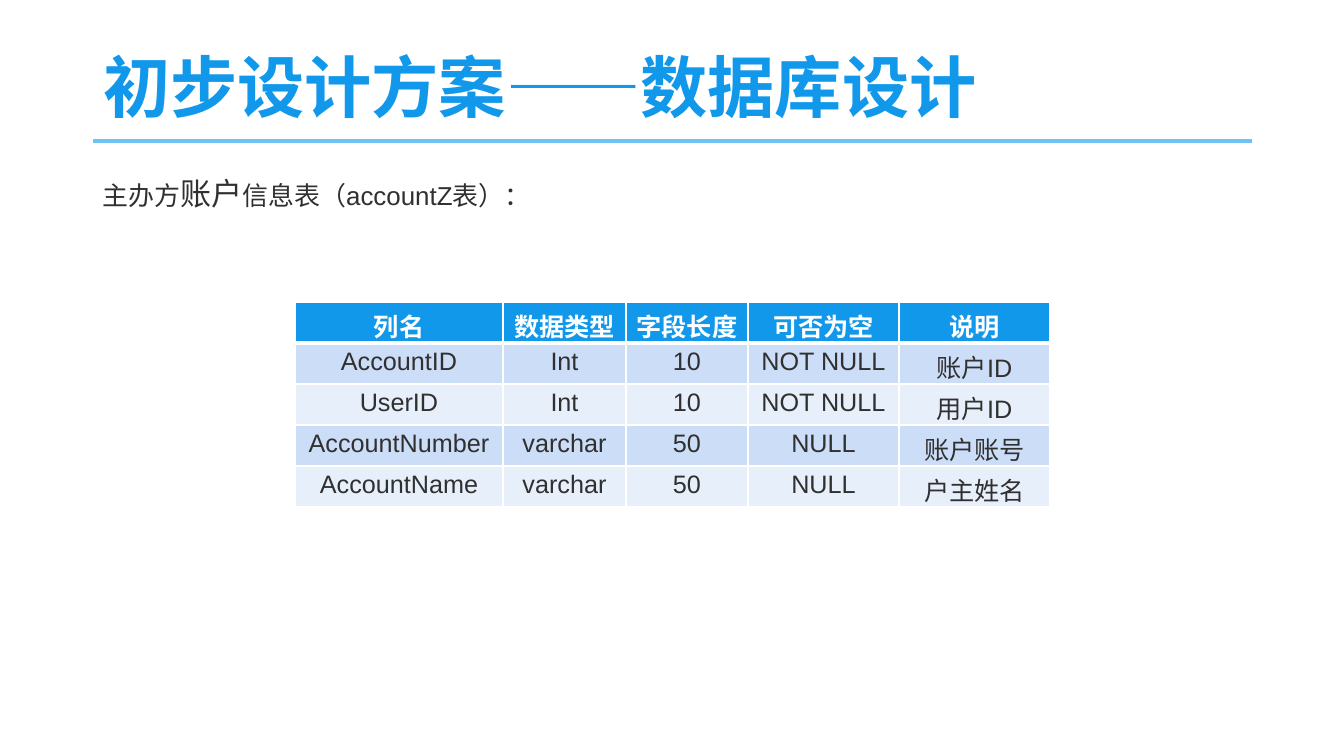
from typing import NamedTuple

from lxml import etree
from pptx import Presentation
from pptx import util as u
from pptx.dml.color import RGBColor
from pptx.enum import lang, shapes, text
from pptx.oxml import ns

EMU_PER_PX = 914400 / 100.8
FONT = "Arial"
BLUE = RGBColor(0x11, 0x98, 0xEB)
SKY = RGBColor(0x6F, 0xC2, 0xF5)
INK = RGBColor(0x30, 0x30, 0x30)
WHITE = RGBColor(0xFF, 0xFF, 0xFF)
BAND_DARK = RGBColor(0xCC, 0xDD, 0xF7)
BAND_LIGHT = RGBColor(0xE7, 0xEF, 0xFB)


class Span(NamedTuple):
    words: str
    size: float
    color: RGBColor
    bold: bool = False


class Field(NamedTuple):
    name: str
    kind: str
    length: str
    nullable: str
    note: str


HEADER = Field("列名", "数据类型", "字段长度", "可否为空", "说明")
FIELDS = [
    Field("AccountID", "Int", "10", "NOT NULL", "账户ID"),
    Field("UserID", "Int", "10", "NOT NULL", "用户ID"),
    Field("AccountNumber", "varchar", "50", "NULL", "账户账号"),
    Field("AccountName", "varchar", "50", "NULL", "户主姓名"),
]
COLUMN_WIDTHS = [208, 123, 122, 151, 151]
ROW_HEIGHT = 41
CAPTION = [
    Span("主办方", 18.5, INK),
    Span("账户", 22.2, INK),
    Span("信息表（accountZ表）：", 18.5, INK),
]


def px(length: int) -> u.Emu:
    return u.Emu(round(length * EMU_PER_PX))


def write(para, spans: list[Span], align=text.PP_ALIGN.LEFT, spacing: float = 1.0) -> None:
    para.alignment = align
    para.line_spacing = spacing
    for span in spans:
        run = para.add_run()
        run.text = span.words
        run.font.name = FONT
        run.font.size = u.Pt(span.size)
        run.font.bold = span.bold
        run.font.color.rgb = span.color
        run.font.language_id = lang.MSO_LANGUAGE_ID.SIMPLIFIED_CHINESE


def add_title(page) -> None:
    title = page.shapes.title
    title.left, title.top, title.width, title.height = px(93), px(40), px(1159), px(101)
    frame = title.text_frame
    frame.auto_size = text.MSO_AUTO_SIZE.NONE
    frame.vertical_anchor = text.MSO_ANCHOR.MIDDLE
    write(frame.paragraphs[0], [Span("初步设计方案——数据库设计", 48, BLUE, True)], spacing=0.9)


def add_rule(page) -> None:
    rule = page.shapes.add_connector(
        shapes.MSO_CONNECTOR.STRAIGHT, px(93), px(141), px(1252), px(141))
    rule.line.color.rgb = SKY
    rule.line.width = u.Pt(3.5)
    etree.SubElement(rule._element.spPr, ns.qn("a:effectLst"))


def add_caption(page) -> None:
    box = page.shapes.add_textbox(px(93), px(162), px(926), px(57))
    box.text_frame.word_wrap = True
    write(box.text_frame.paragraphs[0], CAPTION, spacing=1.2)


def set_borders(cell, top: int, bottom: int) -> None:
    """Draw white cell borders; top and bottom are widths in points."""
    properties = cell._tc.get_or_add_tcPr()
    for index, (side, width) in enumerate(
            {"lnL": 1, "lnR": 1, "lnT": top, "lnB": bottom}.items()):
        line = etree.Element(ns.qn(f"a:{side}"), w=str(u.Pt(width)))
        fill = etree.SubElement(line, ns.qn("a:solidFill"))
        etree.SubElement(fill, ns.qn("a:srgbClr"), val=str(WHITE))
        properties.insert(index, line)


def add_field_table(page) -> None:
    rows = [HEADER, *FIELDS]
    table = page.shapes.add_table(
        len(rows), len(COLUMN_WIDTHS), px(295), px(302),
        px(sum(COLUMN_WIDTHS)), px(ROW_HEIGHT * len(rows))).table
    for column, width in zip(table.columns, COLUMN_WIDTHS):
        column.width = px(width)
    for number, field in enumerate(rows):
        is_header = number == 0
        table.rows[number].height = px(ROW_HEIGHT)
        fill = BLUE if is_header else BAND_DARK if number % 2 else BAND_LIGHT
        for column, words in enumerate(field):
            cell = table.cell(number, column)
            cell.fill.solid()
            cell.fill.fore_color.rgb = fill
            set_borders(cell, top=3 if number == 1 else 1, bottom=3 if is_header else 1)
            span = Span(words, 18, WHITE if is_header else INK, is_header)
            write(cell.text_frame.paragraphs[0], [span], text.PP_ALIGN.CENTER)


def main() -> None:
    deck = Presentation()
    deck.slide_width, deck.slide_height = px(1344), px(756)
    page = deck.slides.add_slide(deck.slide_layouts.get_by_name("Title Only"))
    add_rule(page)
    add_title(page)
    add_caption(page)
    add_field_table(page)
    deck.save("out.pptx")


if __name__ == "__main__":
    main()
